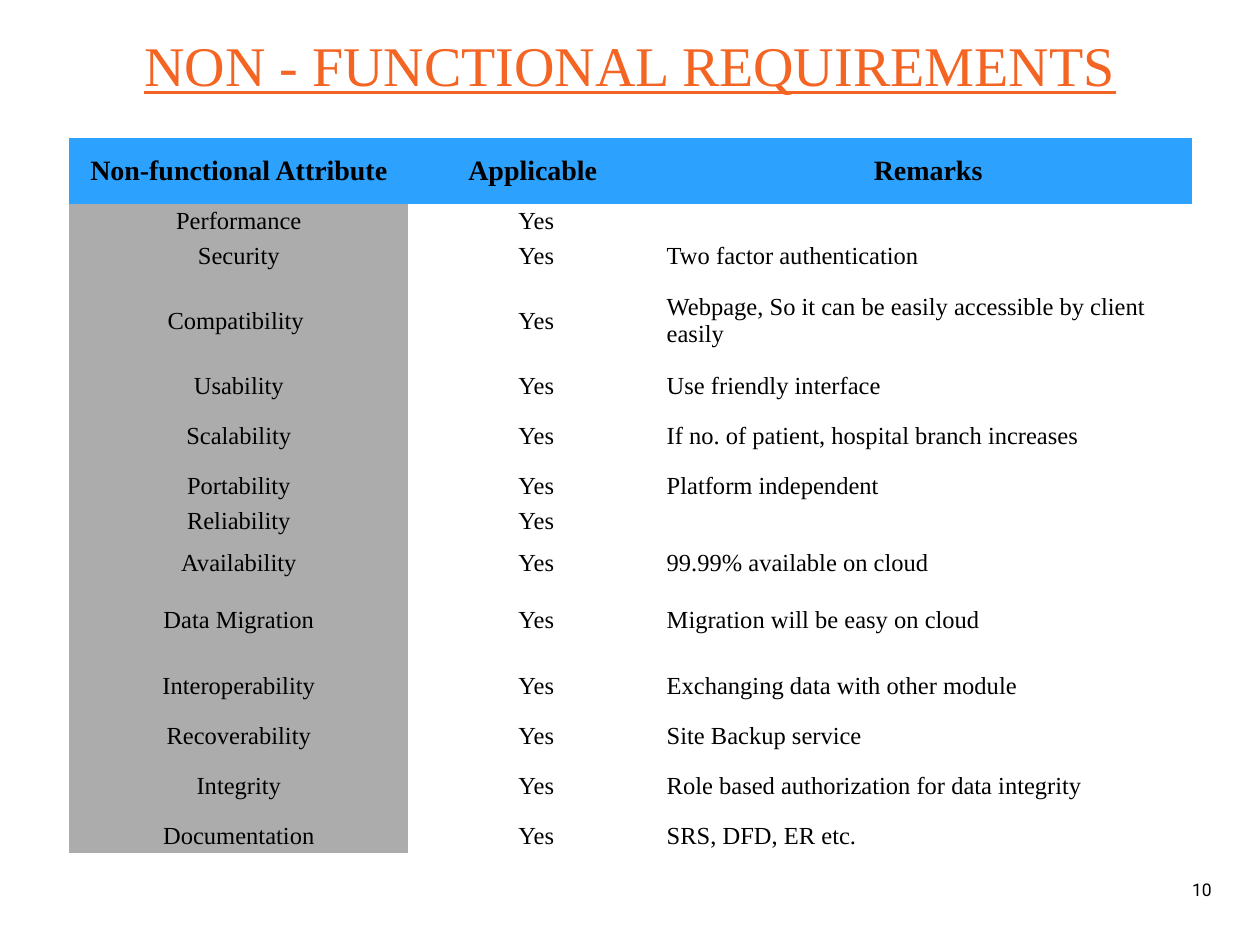
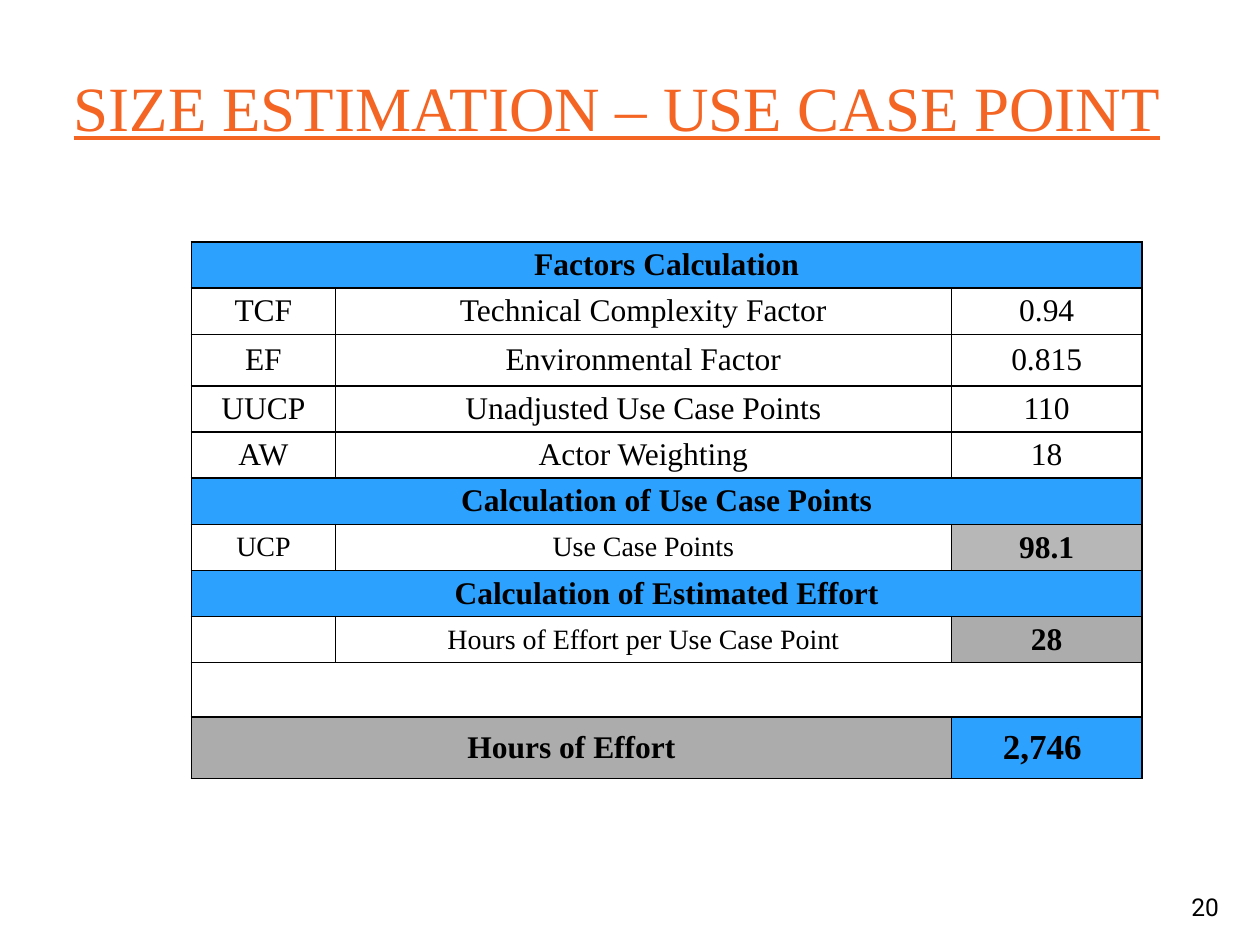
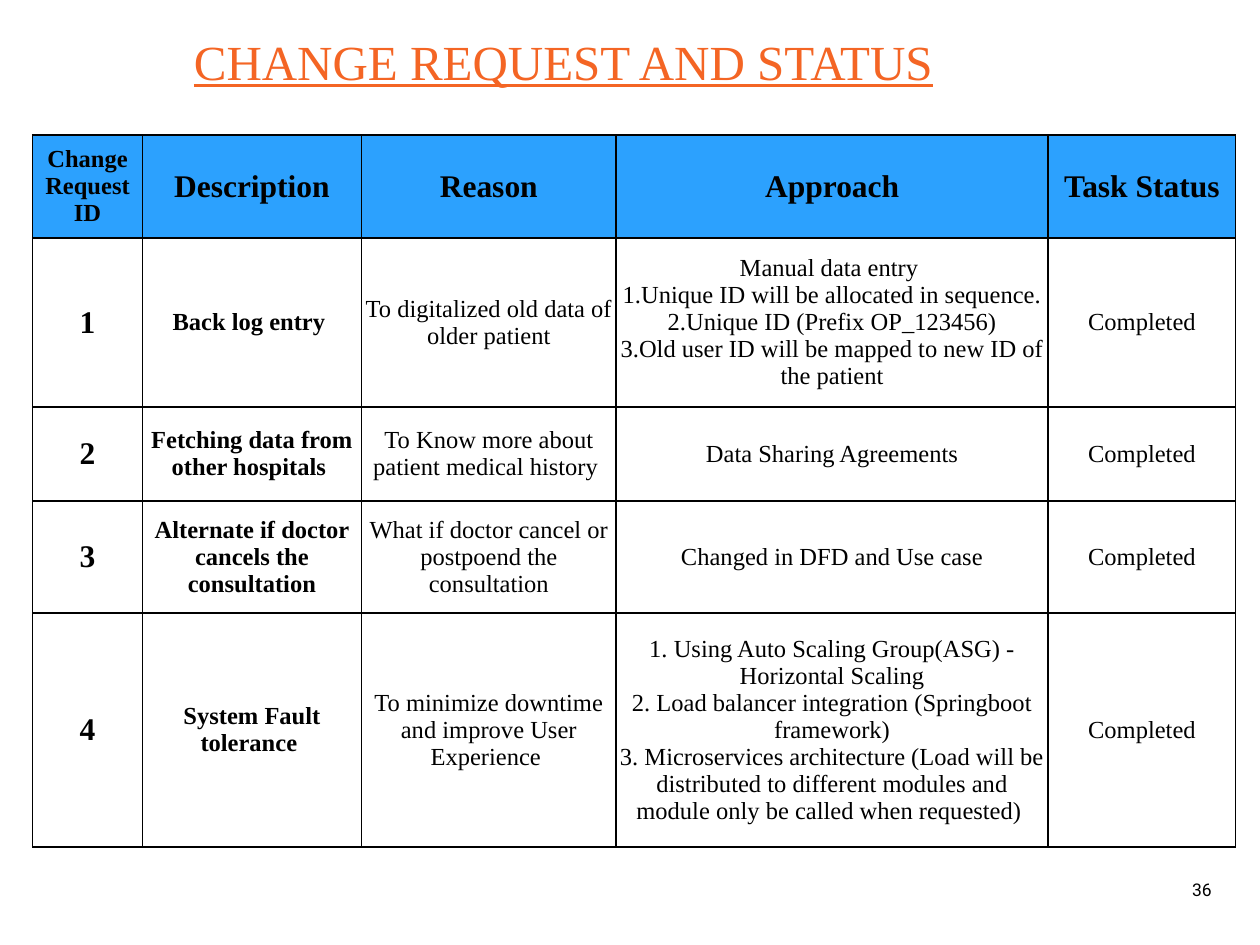
from collections import namedtuple

from lxml.etree import SubElement
from pptx import Presentation
from pptx.dml.color import RGBColor
from pptx.enum.text import MSO_ANCHOR as Anchor, PP_ALIGN as Align
from pptx.oxml.ns import qn
from pptx.util import Cm, Pt

ORANGE = RGBColor(0xF4, 0x65, 0x24)
BLUE = RGBColor(0x2C, 0xA1, 0xFE)
GRAY = RGBColor(0xAC, 0xAC, 0xAC)
LIGHT_GRAY = RGBColor(0xB7, 0xB7, 0xB7)
BLACK = RGBColor(0, 0, 0)
SERIF, SANS = "Times New Roman", "Roboto"
NO_STYLE_NO_GRID = "{2D5ABB26-0587-4C30-8999-92F81FD0307C}"

Look = namedtuple("Look", "size bold fill align", defaults=(False, None, Align.CENTER))

# Requirements: attribute, remark, row height in cm
REQUIREMENTS = [
    ("Performance", "", 0.7),
    ("Security", "Two factor authentication", 0.7),
    ("Compatibility ", "Webpage, So it can be easily accessible by client easily", 1.93),
    ("Usability", "Use friendly interface", 0.7),
    ("Scalability", "If no. of patient, hospital branch increases", 1.32),
    ("Portability", "Platform independent", 0.7),
    ("Reliability", "", 0.7),
    ("Availability", "99.99% available on cloud", 0.99),
    ("Data Migration", "Migration will be easy on cloud", 1.32),
    ("Interoperability", "Exchanging data with other module", 1.32),
    ("Recoverability", "Site Backup service", 0.7),
    ("Integrity", "Role based authorization for data integrity", 1.32),
    ("Documentation", "SRS, DFD, ER etc.", 0.7),
]

# Estimation: None continues the cell on its left; row height in cm
ESTIMATION = [
    (("Factors Calculation", None, None), 0.93),
    (("TCF", "Technical Complexity Factor", "0.94"), 0.93),
    (("EF", "Environmental Factor", "0.815"), 1.04),
    (("UUCP", "Unadjusted Use Case Points", "110"), 0.93),
    (("AW", "Actor Weighting", "18"), 0.93),
    (("Calculation of Use Case Points", None, None), 0.93),
    (("UCP", "Use Case Points", "98.1"), 0.93),
    (("Calculation of Estimated Effort", None, None), 0.93),
    (("", "Hours of Effort per Use Case Point", "28"), 0.93),
    (("", None, None), 1.09),
    (("Hours of Effort", None, "2,746 "), 1.24),
]
BAND, PLAIN, SMALL = Look(18, True, BLUE), Look(18), Look(16)
ESTIMATION_LOOKS = {
    0: (BAND,) * 3,
    5: (BAND,) * 3,
    6: (SMALL, SMALL, Look(18, True, LIGHT_GRAY)),
    7: (BAND,) * 3,
    8: (SMALL, SMALL, Look(18, True, GRAY)),
    10: (Look(18, True, GRAY), PLAIN, Look(20, True, BLUE)),
}

# Change requests: description, reason, approach, row height in cm
CHANGE_HEADER = ("Change Request ID", "Description", "Reason", "Approach", "Task Status")
CHANGES = [
    ("Back log entry ", "To digitalized old data of older patient",
     "Manual data entry \n1.Unique ID will be allocated in sequence.\n"
     "2.Unique ID (Prefix OP_123456)\n"
     "3.Old user ID will be mapped to new ID of the patient", 3.4),
    ("Fetching data from other hospitals ", "To Know more about patient medical history ",
     "Data Sharing Agreements", 1.9),
    ("Alternate if doctor cancels the consultation",
     "What if doctor cancel or postpoend the consultation",
     "Changed in DFD and Use case", 2.26),
    ("System Fault tolerance ", "To minimize downtime and improve User Experience ",
     "1. Using Auto Scaling Group(ASG) - Horizontal Scaling\n"
     "2. Load balancer integration (Springboot framework)\n"
     "3. Microservices architecture (Load will be distributed to different modules "
     "and module only be called when requested) ", 4.72),
]


def add_text(slide, text, box, size, font_name, color, align=Align.CENTER, anchor=Anchor.MIDDLE):
    shape = slide.shapes.add_textbox(*map(Cm, box))
    frame = shape.text_frame
    frame.word_wrap = True
    frame.vertical_anchor = anchor
    paragraph = frame.paragraphs[0]
    paragraph.text = text
    paragraph.alignment = align
    font = paragraph.font
    font.name, font.size, font.color.rgb = font_name, Pt(size), color
    return shape


def add_title(slide, text, box, size, **placement):
    shape = add_text(slide, text, box, size, SERIF, ORANGE, **placement)
    shape.text_frame.paragraphs[0].font.underline = True
    return shape


def add_page_number(slide, number, box=(23.57, 17.42, 1.32, 1.02), size=10):
    add_text(slide, str(number), box, size, SANS, BLACK)


def add_borders(cell):
    properties = cell._tc.get_or_add_tcPr()
    for side in ("lnL", "lnR", "lnT", "lnB"):
        line = SubElement(properties, qn(f"a:{side}"), w=str(Pt(1)))
        fill = SubElement(line, qn("a:solidFill"))
        SubElement(fill, qn("a:srgbClr"), val=str(BLACK))


def fill_cell(cell, text, look, margins):
    cell.margin_left = cell.margin_right = Cm(margins[0])
    cell.margin_top = cell.margin_bottom = Cm(margins[1])
    cell.vertical_anchor = Anchor.MIDDLE
    if look.fill is None:
        cell.fill.background()
    else:
        cell.fill.solid()
        cell.fill.fore_color.rgb = look.fill
    cell.text = text or ""
    for paragraph in cell.text_frame.paragraphs:
        paragraph.alignment = look.align
        font = paragraph.font
        font.name, font.size, font.bold = SERIF, Pt(look.size), look.bold
        font.color.rgb = BLACK
        if not text:  # an empty cell takes its line height from the end mark
            paragraph._p.get_or_add_endParaRPr().set("sz", str(look.size * 100))


def add_grid(slide, left, top, widths, heights, rows, looks, margins, bordered=True):
    """Draw a table; None in a row merges into the cell on its left."""
    table = slide.shapes.add_table(
        len(rows), len(widths), Cm(left), Cm(top), Cm(sum(widths)), Cm(sum(heights))
    ).table
    table._tbl.tblPr.find(qn("a:tableStyleId")).text = NO_STYLE_NO_GRID
    for column, width in zip(table.columns, widths):
        column.width = Cm(width)
    for row, height in zip(table.rows, heights):
        row.height = Cm(height)
    for r, (texts, row_looks) in enumerate(zip(rows, looks)):
        for c, (text, look) in enumerate(zip(texts, row_looks)):
            cell = table.cell(r, c)
            if bordered:
                add_borders(cell)
            fill_cell(cell, text, look, margins)
        starts = [c for c, text in enumerate(texts) if text is not None]
        for start, following in zip(starts, starts[1:] + [len(texts)]):
            if following - start > 1:
                table.cell(r, start).merge(table.cell(r, following - 1))


def build_requirements(slide):
    add_title(slide, "NON - FUNCTIONAL REQUIREMENTS", (1.9, -0.86, 21.6, 4.47), 32
              ).text_frame.paragraphs[0].line_spacing = 0.9
    add_page_number(slide, 10)
    rows = [("Non-functional Attribute", "Applicable ", "Remarks")]
    rows += [(attribute, "Yes", remark) for attribute, remark, _ in REQUIREMENTS]
    body = (Look(14, fill=GRAY), Look(14), Look(14, align=Align.LEFT))
    looks = [(Look(16, True, BLUE),) * 3] + [body] * len(REQUIREMENTS)
    heights = [1.32] + [height for *_, height in REQUIREMENTS]
    add_grid(slide, 1.4, 2.79, (6.83, 5.16, 10.64), heights, rows, looks,
             (0.05, 0.05), bordered=False)


def build_estimation(slide):
    add_title(slide, "SIZE ESTIMATION – USE CASE POINT", (0.91, 0, 23.06, 4.47), 36
              ).text_frame.paragraphs[0].line_spacing = 0.9
    add_page_number(slide, 20, (21.26, 17.22, 6.07, 2.11), 14)
    rows, heights = zip(*ESTIMATION)
    looks = [ESTIMATION_LOOKS.get(r, (PLAIN,) * 3) for r in range(len(rows))]
    add_grid(slide, 3.86, 4.88, (2.9, 12.42, 3.84), heights, rows, looks, (0.08, 0))


def build_changes(slide):
    add_page_number(slide, 36)
    title = add_title(slide, "CHANGE REQUEST AND STATUS", (3.66, 0.38, 17.22, 2.9), 28,
                      align=Align.LEFT, anchor=Anchor.TOP)
    title.text_frame.margin_top = title.text_frame.margin_bottom = Cm(0.25)
    rows = [CHANGE_HEADER]
    rows += [(str(number), *texts, "Completed")
             for number, (*texts, _) in enumerate(CHANGES, 1)]
    body = (Look(18, True), Look(14, True)) + (Look(14),) * 3
    looks = [(Look(14, True, BLUE),) + (BAND,) * 4] + [body] * len(CHANGES)
    heights = [2.08] + [height for *_, height in CHANGES]
    add_grid(slide, 0.66, 2.72, (2.21, 4.42, 5.13, 8.71, 3.78), heights, rows, looks,
             (0.05, 0.03))


def main():
    presentation = Presentation()
    presentation.slide_width, presentation.slide_height = Cm(25.4), Cm(19.05)
    blank = presentation.slide_layouts[6]
    for build in (build_requirements, build_estimation, build_changes):
        build(presentation.slides.add_slide(blank))
    presentation.save("out.pptx")


if __name__ == "__main__":
    main()
